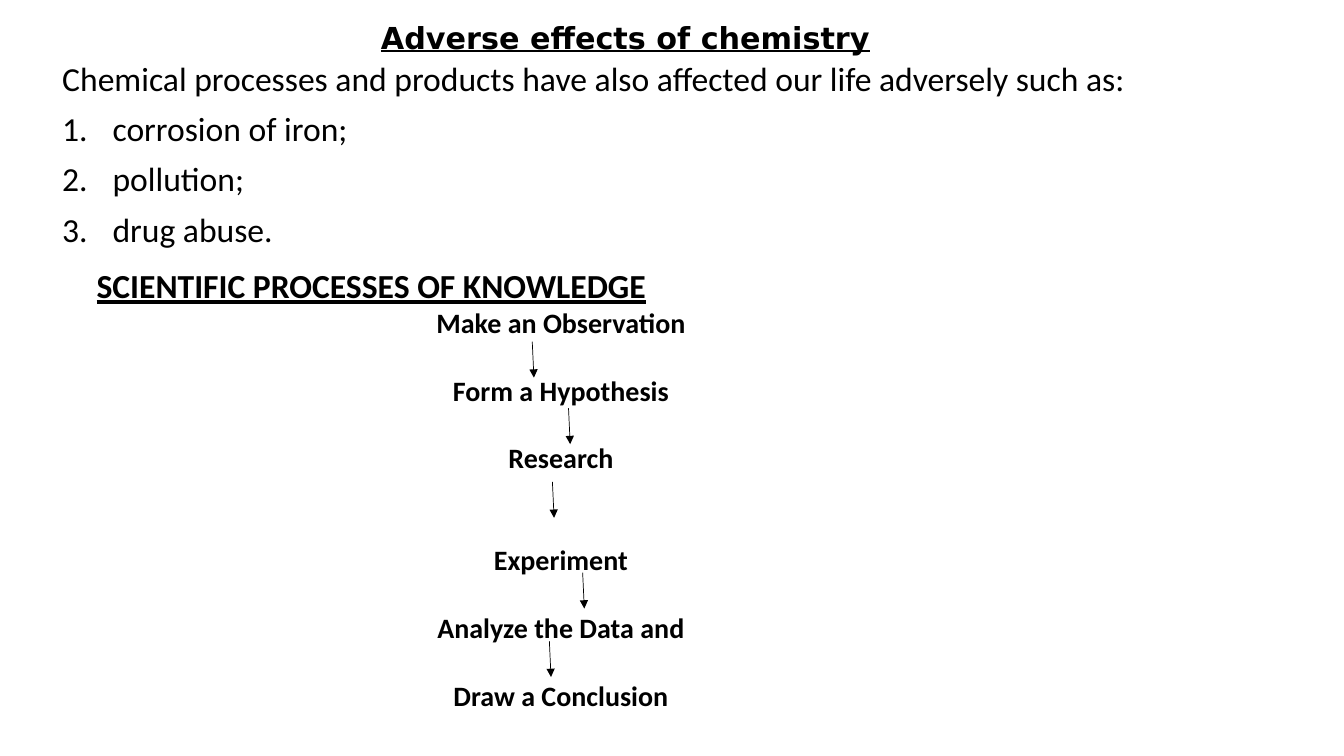
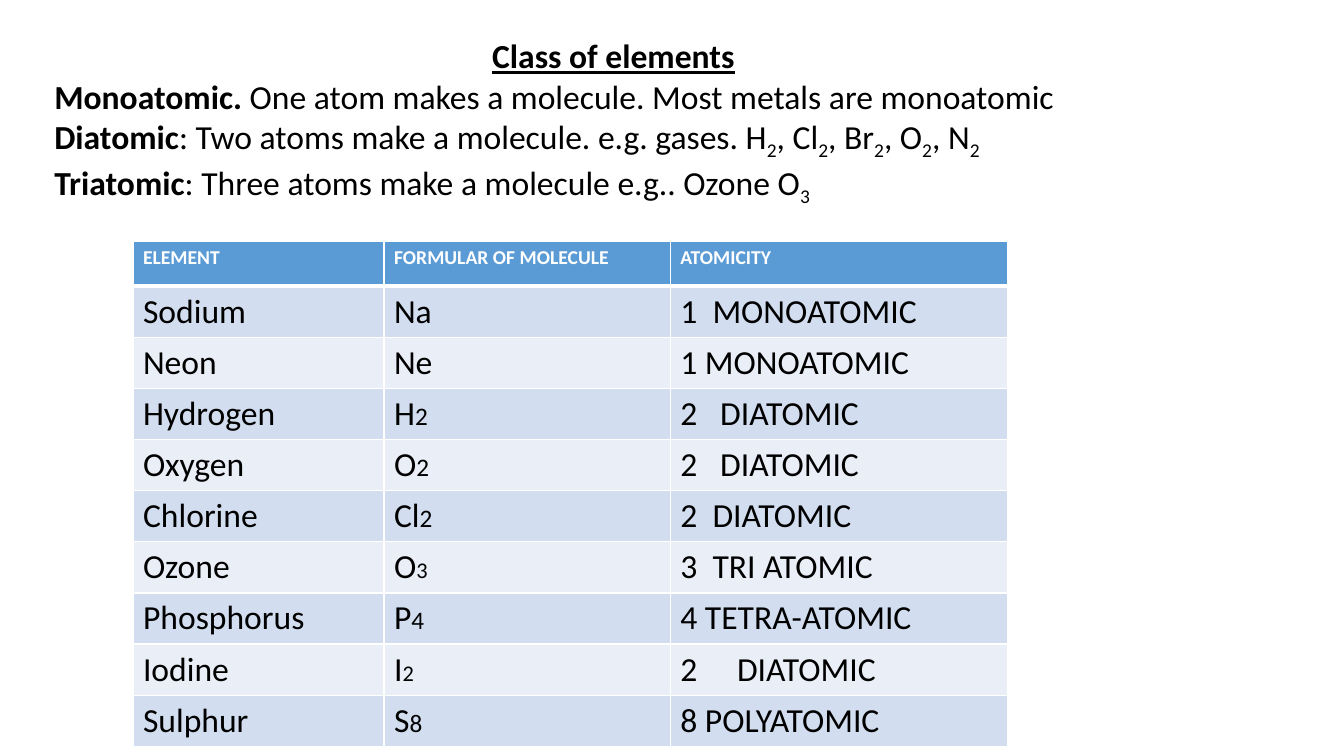
from itertools import groupby

from lxml import etree
from pptx import Presentation
from pptx.dml.color import RGBColor
from pptx.enum import shapes, text
from pptx.oxml.ns import qn
from pptx.util import Pt

# Shared style
BODY_FONT, TITLE_FONT = "Calibri", "DejaVu Sans"
BLACK, WHITE = "000000", "FFFFFF"
HEADER_BLUE, BAND_DARK, BAND_LIGHT = "5B9BD5", "D2DEEF", "EAEFF7"
BODY_SIZE, STEP_SIZE, HEADER_SIZE = 24, 20, 14
CENTER = text.PP_ALIGN.CENTER

# Scientific process: step and the gap above it
STEP_LINE = 24.4
STEPS = [
    ("Make an Observation", 0),
    ("Form a Hypothesis", STEP_LINE),
    ("Research", STEP_LINE),
    ("Experiment", 2 * STEP_LINE),
    ("Analyze the Data and", STEP_LINE),
    ("Draw a Conclusion", STEP_LINE),
]
ARROW_STARTS = [(380.2, 244.1), (406.1, 291.6), (394.6, 344.2),
                (416.2, 409), (392.4, 457.9)]
ARROW_RUN, ARROW_DROP = 1.2, 25.7

CLASSES = [
    ("Monoatomic.", " One atom makes a molecule. Most metals are monoatomic"),
    ("Diatomic", ": Two atoms make a molecule. e.g. gases. H2, Cl2, Br2, O2, N2"),
    ("Triatomic", ": Three atoms make a molecule e.g.. Ozone O3"),
]

# Element, formula, size of its number, atomicity, class, tab stop (0: a space)
HEADINGS = ["ELEMENT", "FORMULAR OF MOLECULE", "ATOMICITY"]
ELEMENTS = [
    ("Sodium", "Na", 18, 1, "MONOATOMIC", 23),
    ("Neon", "Ne", 18, 1, "MONOATOMIC", 0),
    ("Hydrogen", "H2", 18, 2, "DIATOMIC", 28.5),
    ("Oxygen", "O2", 18, 2, "DIATOMIC", 28.5),
    ("Chlorine", "Cl2", 18, 2, "DIATOMIC", 23),
    ("Ozone", "O3", 16, 3, "TRI ATOMIC", 23),
    ("Phosphorus", "P4", 18, 4, "TETRA-ATOMIC", 0),
    ("Iodine", "I2", 16, 2, "DIATOMIC", 40.5),
    ("Sulphur", "S8", 18, 8, "POLYATOMIC", 0),
]
COLUMN_WIDTHS = [179.3, 204.5, 241.2]
HEADER_HEIGHT, ROW_HEIGHT = 32.4, 36


def color(hex_string):
    return RGBColor.from_string(hex_string)


def style(paragraph, size=BODY_SIZE, name=BODY_FONT, ink=BLACK, bold=None,
          underline=None):
    font = paragraph.font
    font.size, font.name = Pt(size), name
    font.bold, font.underline = bold, underline
    font.color.rgb = color(ink)


def style_title(paragraph, **changes):
    style(paragraph, bold=True, underline=True, **changes)


def add_text_box(slide, left, top, width, height):
    frame = slide.shapes.add_textbox(Pt(left), Pt(top), Pt(width), Pt(height)).text_frame
    frame.word_wrap = True
    return frame


def number_item(paragraph, indent):
    properties = paragraph._p.get_or_add_pPr()
    properties.set("marL", str(Pt(indent)))
    properties.set("indent", str(-Pt(indent)))
    etree.SubElement(properties, qn("a:buFont"), typeface="+mj-lt")
    etree.SubElement(properties, qn("a:buAutoNum"), type="arabicPeriod")


def add_tab_stop(paragraph, position):
    stops = etree.SubElement(paragraph._p.get_or_add_pPr(), qn("a:tabLst"))
    etree.SubElement(stops, qn("a:tab"), pos=str(Pt(position)), algn="l")


def add_formula(paragraph, wording, number_size=None):
    """Write digits at number_size, or as subscripts when none is given."""
    for is_number, letters in groupby(wording, str.isdigit):
        run = paragraph.add_run()
        run.text = "".join(letters)
        if is_number and number_size:
            run.font.size = Pt(number_size)
        elif is_number:
            run._r.get_or_add_rPr().set("baseline", "-25000")


def add_arrow(slide, left, top):
    arrow = slide.shapes.add_connector(
        shapes.MSO_CONNECTOR.STRAIGHT, Pt(left), Pt(top),
        Pt(left + ARROW_RUN), Pt(top + ARROW_DROP))
    arrow.line.color.rgb = color(BLACK)
    arrow.line.width = Pt(0.5)
    etree.SubElement(arrow.line._get_or_add_ln(), qn("a:tailEnd"), type="triangle")
    etree.SubElement(arrow._element.spPr, qn("a:effectLst"))


def paint_cell(cell, fill, bottom_width=1):
    properties = cell._tc.get_or_add_tcPr()
    for side, width in (("L", 1), ("R", 1), ("T", 1), ("B", bottom_width)):
        border = etree.SubElement(properties, qn("a:ln" + side), w=str(Pt(width)))
        solid = etree.SubElement(border, qn("a:solidFill"))
        etree.SubElement(solid, qn("a:srgbClr"), val=WHITE)
    cell.fill.solid()
    cell.fill.fore_color.rgb = color(fill)


def add_element_table(slide, left, top):
    height = HEADER_HEIGHT + ROW_HEIGHT * len(ELEMENTS)
    table = slide.shapes.add_table(
        len(ELEMENTS) + 1, len(HEADINGS), Pt(left), Pt(top),
        Pt(sum(COLUMN_WIDTHS)), Pt(height)).table
    table.horz_banding = False
    for column, width in zip(table.columns, COLUMN_WIDTHS):
        column.width = Pt(width)
    for index, row in enumerate(table.rows):
        row.height = Pt(ROW_HEIGHT if index else HEADER_HEIGHT)

    # Header row
    for column, heading in enumerate(HEADINGS):
        cell = table.cell(0, column)
        paint_cell(cell, HEADER_BLUE, bottom_width=3)
        cell.text = heading
        style(cell.text_frame.paragraphs[0], HEADER_SIZE, ink=WHITE, bold=True)

    # Element rows
    for row, (element, formula, number_size, count, kind, tab) in enumerate(ELEMENTS, 1):
        cells = [table.cell(row, column) for column in range(len(HEADINGS))]
        name, molecule, atomicity = [cell.text_frame.paragraphs[0] for cell in cells]
        name.text = element
        add_formula(molecule, formula, number_size)
        atomicity.text = f"{count}\t{kind}" if tab else f"{count} {kind}"
        if tab:
            add_tab_stop(atomicity, tab)
        for cell, paragraph in zip(cells, (name, molecule, atomicity)):
            paint_cell(cell, BAND_DARK if row % 2 else BAND_LIGHT)
            style(paragraph, bold=False)


def build_process_slide(slide):
    # Title
    title_frame = add_text_box(slide, 265, 15.8, 373, 25.2)
    title_frame.vertical_anchor = text.MSO_ANCHOR.MIDDLE
    title = title_frame.paragraphs[0]
    title.text = "Adverse effects of chemistry"
    title.line_spacing = 0.9
    style_title(title, size=21.6, name=TITLE_FONT)

    # Adverse effects
    effects = add_text_box(slide, 37.4, 41, 851.8, 144.7)
    intro = effects.paragraphs[0]
    intro.text = "Chemical processes and products have also affected our life adversely such as:"
    intro.line_spacing = 0.9
    style(intro)
    for wording in ("corrosion of iron;", "pollution;", "drug abuse."):
        effect = effects.add_paragraph()
        effect.text = wording
        effect.line_spacing, effect.space_before = 0.9, Pt(10)
        number_item(effect, 36)
        style(effect)

    # Scientific process
    process = add_text_box(slide, 61.9, 185.8, 677.5, 326.9)
    heading = process.paragraphs[0]
    heading.text = "SCIENTIFIC PROCESSES OF KNOWLEDGE"
    style_title(heading)
    for wording, gap in STEPS:
        step = process.add_paragraph()
        step.text, step.alignment = wording, CENTER
        step.space_before = Pt(gap)
        style(step, STEP_SIZE, bold=True)
    for left, top in ARROW_STARTS:
        add_arrow(slide, left, top)


def build_elements_slide(slide):
    add_element_table(slide, 95, 172.1)

    # Classes of elements
    classes = add_text_box(slide, 31.7, 21.6, 812.9, 123.8)
    title = classes.paragraphs[0]
    title.text, title.alignment = "Class of elements", CENTER
    style_title(title)
    for term, meaning in CLASSES:
        definition = classes.add_paragraph()
        style(definition)
        term_run = definition.add_run()
        term_run.text, term_run.font.bold = term, True
        add_formula(definition, meaning)


def main():
    deck = Presentation()
    deck.slide_width, deck.slide_height = Pt(960), Pt(540)
    blank = deck.slide_layouts[6]
    for build in (build_process_slide, build_elements_slide):
        build(deck.slides.add_slide(blank))
    deck.save("out.pptx")


if __name__ == "__main__":
    main()
